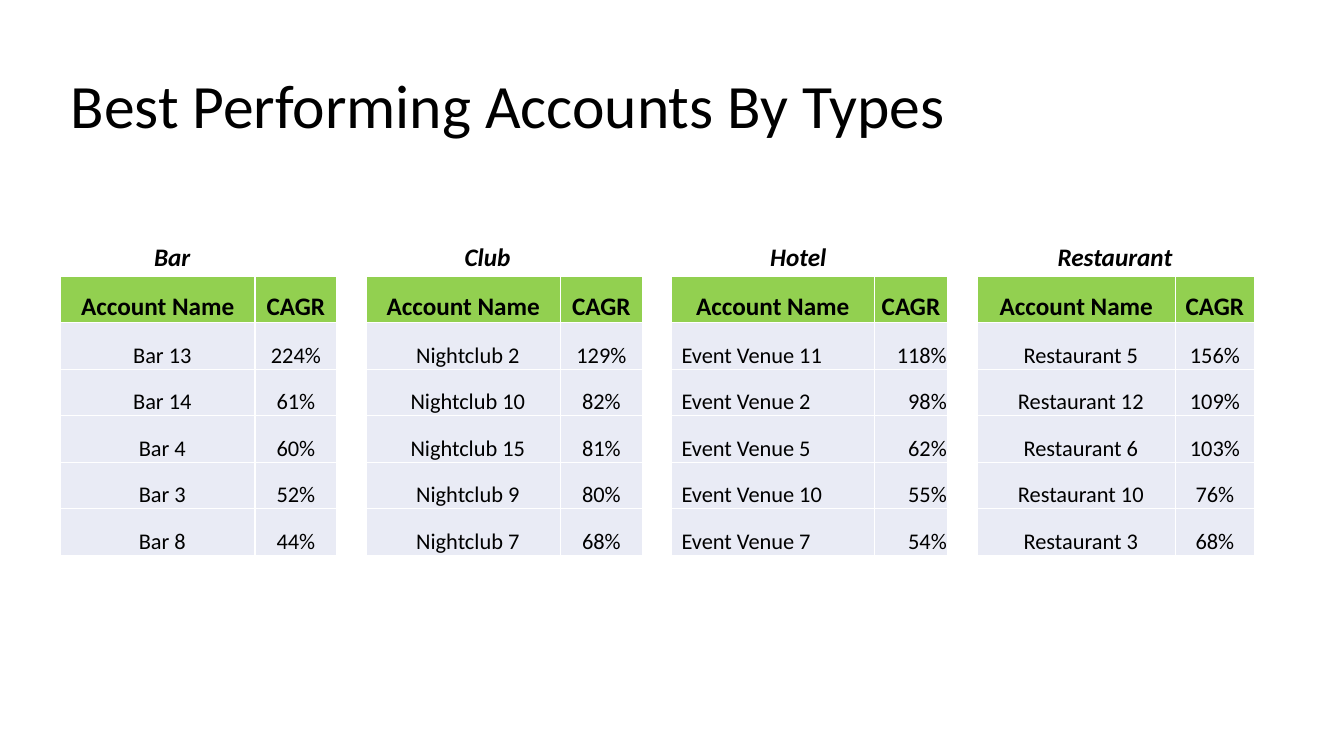
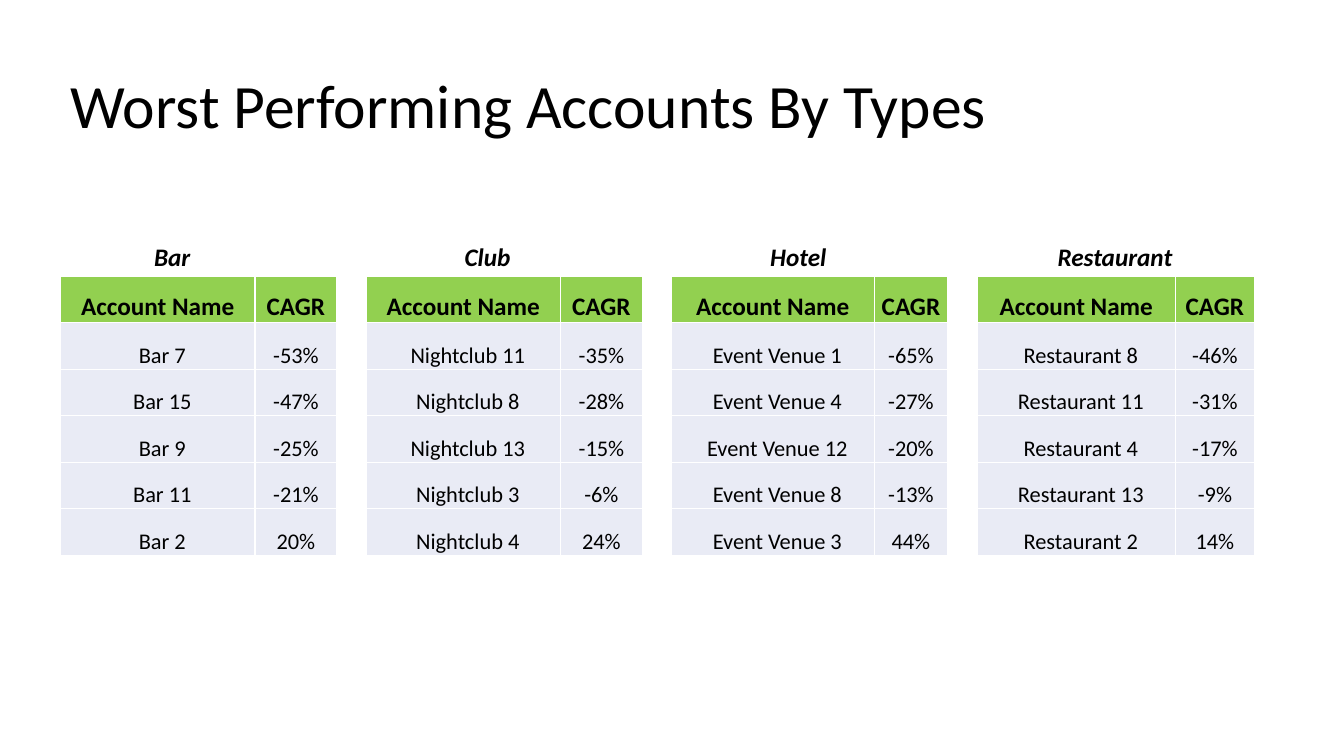
from pptx import Presentation, util as u
from pptx.dml import color
from pptx.enum import text

HUES = {"ink": "000000", "head": "92D050", "body": "E9EBF5"}
FONT = "Calibri"
HEADS = ("Account Name", "CAGR")

GROUPS = [
    {"name": "Bar", "item": "Bar", "cols": (1.93, 0.81), "label": (1.43, 0.57)},
    {"name": "Club", "item": "Nightclub", "cols": (1.93, 0.81), "label": (4.51, 0.66)},
    {"name": "Hotel", "item": "Event Venue", "cols": (2.01, 0.73), "label": (7.54, 0.77)},
    {"name": "Restaurant", "item": "Restaurant", "cols": (1.97, 0.78), "label": (10.39, 1.35)},
]

PAGES = [
    {
        "title": "Best Performing Accounts By Types",
        "uneven": ("Hotel",),
        "data": [
            [(13, 224), (14, 61), (4, 60), (3, 52), (8, 44)],
            [(2, 129), (10, 82), (15, 81), (9, 80), (7, 68)],
            [(11, 118), (2, 98), (5, 62), (10, 55), (7, 54)],
            [(5, 156), (12, 109), (6, 103), (10, 76), (3, 68)],
        ],
    },
    {
        "title": "Worst Performing Accounts By Types",
        "uneven": (),
        "data": [
            [(7, -53), (15, -47), (9, -25), (11, -21), (2, 20)],
            [(11, -35), (8, -28), (13, -15), (3, -6), (4, 24)],
            [(1, -65), (4, -27), (12, -20), (8, -13), (3, 44)],
            [(8, -46), (11, -31), (4, -17), (13, -9), (2, 14)],
        ],
    },
]

LEFT, STEP, TOP = 0.6, 3.03, 2.74
WIDTH, HEIGHT = 2.74, 2.77
LABEL_TOP, LABEL_HIGH = 2.34, 0.4
MID, START, END = text.PP_ALIGN.CENTER, text.PP_ALIGN.LEFT, text.PP_ALIGN.RIGHT


def rgb(name):
    return color.RGBColor.from_string(HUES[name])


def style(para, size, bold=False, italic=False, align=START):
    para.alignment = align
    font = para.font
    font.name, font.size = FONT, u.Pt(size)
    font.bold, font.italic = bold, italic
    font.color.rgb = rgb("ink")


def add_title(slide, words):
    title = slide.shapes.title
    title.left, title.top = u.Inches(LEFT), u.Inches(0.44)
    title.width, title.height = u.Inches(11.5), u.Inches(1.27)
    frame = title.text_frame
    frame.text = words
    frame.auto_size = text.MSO_AUTO_SIZE.NONE
    frame.vertical_anchor = text.MSO_ANCHOR.MIDDLE
    para = frame.paragraphs[0]
    para.line_spacing = 0.9
    style(para, 44)


def add_label(slide, group):
    left, width = group["label"]
    box = slide.shapes.add_textbox(
        u.Inches(left), u.Inches(LABEL_TOP), u.Inches(width), u.Inches(LABEL_HIGH))
    frame = box.text_frame
    frame.text = group["name"]
    frame.word_wrap = False
    frame.auto_size = text.MSO_AUTO_SIZE.SHAPE_TO_FIT_TEXT
    style(frame.paragraphs[0], 18, bold=True, italic=True)


def fill_cell(cell, words, head, inset, align):
    cell.text = words
    cell.fill.solid()
    cell.fill.fore_color.rgb = rgb("head" if head else "body")
    cell.vertical_anchor = text.MSO_ANCHOR.BOTTOM
    cell.margin_left = u.Inches(inset)
    cell.margin_right = cell.margin_top = u.Inches(0.01)
    cell.margin_bottom = u.Inches(0)
    style(cell.text_frame.paragraphs[0], 18 if head else 16, bold=head, align=align)


def add_grid(slide, left, group, data, sides):
    rows = [HEADS] + [(f"{group['item']} {num}", f"{rate}%") for num, rate in data]
    grid = slide.shapes.add_table(
        len(rows), len(HEADS), u.Inches(left), u.Inches(TOP),
        u.Inches(WIDTH), u.Inches(HEIGHT)).table
    for col, width in zip(grid.columns, group["cols"]):
        col.width = u.Inches(width)
    for r, row in enumerate(rows):
        head = r == 0
        for c, words in enumerate(row):
            inset = 0.1 if c == 0 and not head else 0.01
            fill_cell(grid.cell(r, c), words, head, inset, MID if head else sides[c])


def main():
    deck = Presentation()
    deck.slide_width, deck.slide_height = u.Inches(13.33), u.Inches(7.5)
    for page in PAGES:
        slide = deck.slides.add_slide(deck.slide_layouts[5])
        add_title(slide, page["title"])
        for i, (group, data) in enumerate(zip(GROUPS, page["data"])):
            sides = (START, END) if group["name"] in page["uneven"] else (MID, MID)
            add_grid(slide, LEFT + i * STEP, group, data, sides)
            add_label(slide, group)
    deck.save("out.pptx")


if __name__ == "__main__":
    main()
